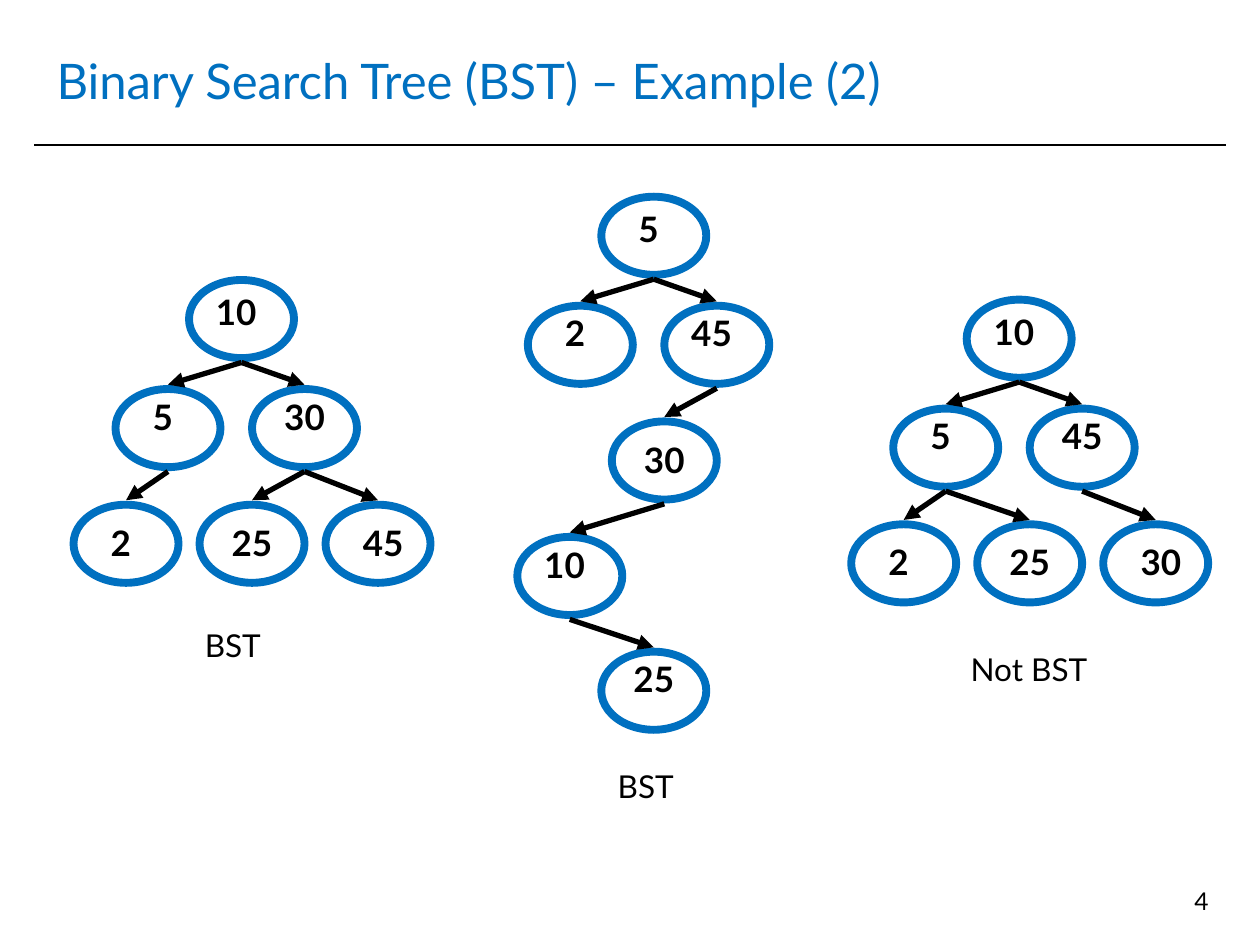
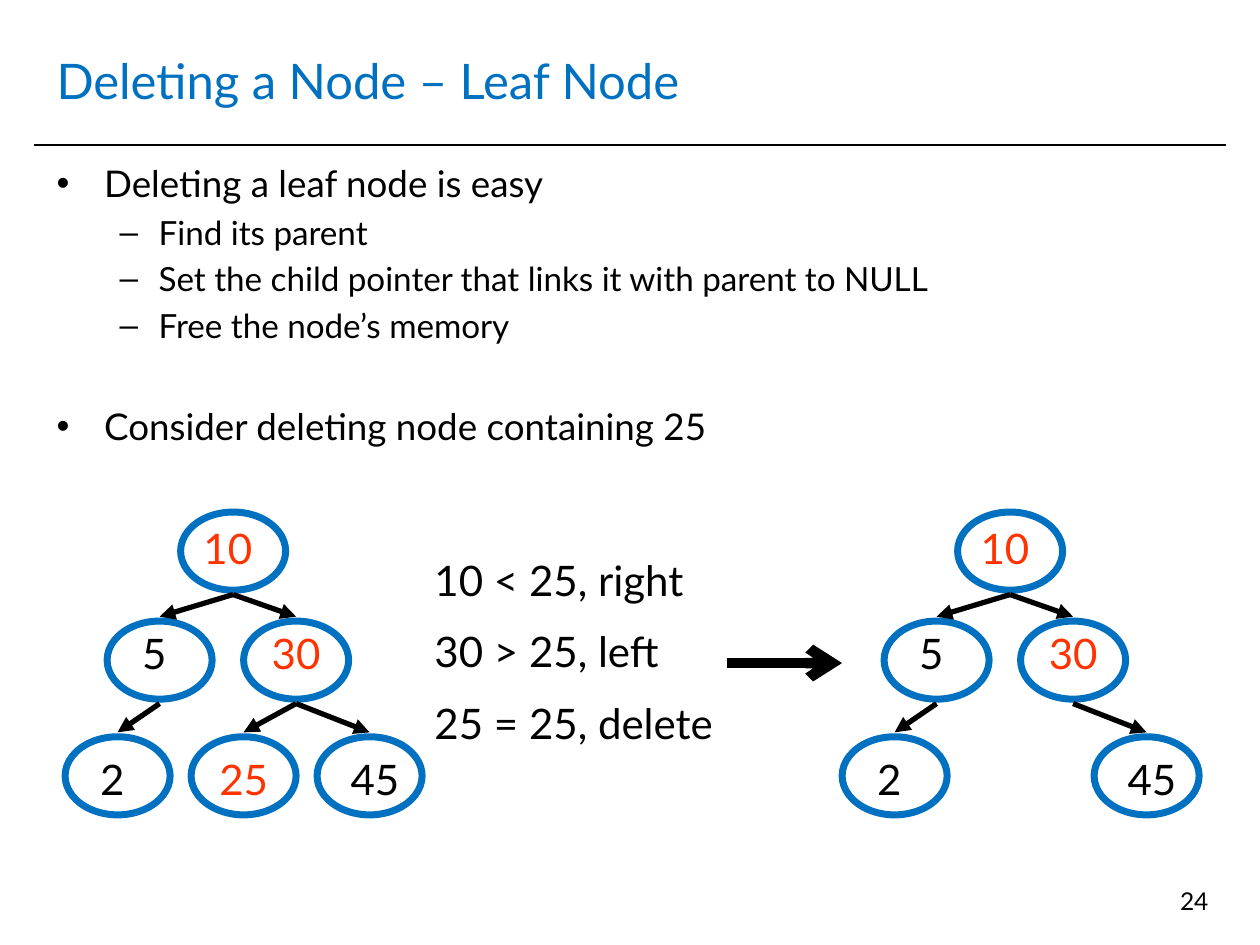
from lxml import etree
from pptx import Presentation
from pptx.dml.color import RGBColor
from pptx.enum.shapes import MSO_CONNECTOR, MSO_SHAPE
from pptx.enum.text import MSO_ANCHOR, PP_ALIGN
from pptx.oxml.ns import qn
from pptx.util import Pt

STRAIGHT = MSO_CONNECTOR.STRAIGHT
OVAL = MSO_SHAPE.OVAL
TOP, MIDDLE = MSO_ANCHOR.TOP, MSO_ANCHOR.MIDDLE
LEFT, CENTER, RIGHT = PP_ALIGN.LEFT, PP_ALIGN.CENTER, PP_ALIGN.RIGHT

FONT = "Lato"
COLORS = {"blue": "0070C0", "black": "000000", "red": "FF3300"}
NODE_WIDTH, NODE_HEIGHT = 60, 44.64
LABEL_WIDTH, LABEL_HEIGHT = 48, 36
ARROW_GAP = 2.5

# Each slot: node left, node top, label shift right, label shift down
BALANCED_SLOTS = {
    "root": (0, 0, -3, 2.5),
    "left": (-42, 62.3, -3, 0),
    "right": (36, 62.3, 0, 0),
    "leaf 1": (-66, 128.4, -3, 6),
    "leaf 2": (6, 128.4, 0, 6),
    "leaf 3": (78, 128.4, 3, 6),
}
CHAIN_SLOTS = {
    "root": (0, 0, -3, 2.5),
    "left": (-42, 62.3, -3, 0),
    "right": (36, 62.3, -3, 0),
    "third": (6, 128.4, 0, 6),
    "fourth": (-48, 194.4, -3, 0),
    "fifth": (0, 260, 0, 0),
}
TOP_EDGES = [("root", "left"), ("root", "right")]
SORTED_EDGES = TOP_EDGES + [("left", "leaf 1"), ("right", "leaf 2"), ("right", "leaf 3")]
UNSORTED_EDGES = TOP_EDGES + [("left", "leaf 1"), ("left", "leaf 2"), ("right", "leaf 3")]
PRUNED_EDGES = TOP_EDGES + [("left", "leaf 1"), ("right", "leaf 3")]
CHAIN_EDGES = TOP_EDGES + [("right", "third"), ("third", "fourth"), ("fourth", "fifth")]


def rgb(name):
    return RGBColor.from_string(COLORS[name])


def format_paragraph(paragraph, text, size=18, color="black", bold=False, align=LEFT, before=0):
    paragraph.alignment = align
    paragraph.space_before = Pt(before)
    run = paragraph.add_run()
    run.text = text
    run.font.name = FONT
    run.font.size = Pt(size)
    run.font.bold = bold
    run.font.color.rgb = rgb(color)


def add_text_frame(shapes, left, top, width, height, anchor=TOP):
    text_frame = shapes.add_textbox(Pt(left), Pt(top), Pt(width), Pt(height)).text_frame
    text_frame.word_wrap = True
    text_frame.vertical_anchor = anchor
    return text_frame


def add_text(shapes, text, left, top, width, height, anchor=TOP, **text_format):
    text_frame = add_text_frame(shapes, left, top, width, height, anchor)
    format_paragraph(text_frame.paragraphs[0], text, **text_format)


def add_line(shapes, start, end, width, head=None):
    connector = shapes.add_connector(STRAIGHT, *(Pt(value) for value in (*start, *end)))
    connector.line.color.rgb = rgb("black")
    connector.line.width = Pt(width)
    if head:
        tail_end = etree.SubElement(connector.line._get_or_add_ln(), qn("a:tailEnd"))
        tail_end.set("type", head)
    etree.SubElement(connector._element.spPr, qn("a:effectLst"))


def add_node(shapes, left, top, line_width):
    node = shapes.add_shape(OVAL, Pt(left), Pt(top), Pt(NODE_WIDTH), Pt(NODE_HEIGHT))
    node.shadow.inherit = False
    node.fill.background()
    node.line.color.rgb = rgb("blue")
    node.line.width = Pt(line_width)


def add_tree(slide, left, top, slots, values, edges, line_width=4.5, visited=(), **label_format):
    shapes = slide.shapes.add_group_shape().shapes
    for slot in values:
        add_node(shapes, left + slots[slot][0], top + slots[slot][1], line_width)
    center = left + NODE_WIDTH / 2
    for parent, child in edges:
        parent_x, parent_y = slots[parent][:2]
        child_x, child_y = slots[child][:2]
        add_line(shapes,
                 (center + parent_x, top + parent_y + NODE_HEIGHT + ARROW_GAP),
                 (center + child_x, top + child_y - ARROW_GAP), 3, "triangle")
    for slot, value in values.items():
        x, y, shift_x, shift_y = slots[slot]
        add_text(shapes, value, center + x + shift_x - LABEL_WIDTH / 2, top + y + shift_y,
                 LABEL_WIDTH, LABEL_HEIGHT, align=CENTER,
                 color="red" if slot in visited else "black", **label_format)


def add_bullets(slide, items, left, top, width, height):
    levels = [("•", 27.2, 27.2, 21), ("–", 58.4, 22.4, 19)]
    text_frame = add_text_frame(slide.shapes, left, top, width, height)
    for index, (level, text, before) in enumerate(items):
        paragraph = text_frame.paragraphs[0] if index == 0 else text_frame.add_paragraph()
        character, margin, hanging, size = levels[level]
        format_paragraph(paragraph, text, size=size, before=before)
        paragraph.level = level
        properties = paragraph._p.get_or_add_pPr()
        properties.set("marL", str(Pt(margin)))
        properties.set("indent", str(-Pt(hanging)))
        etree.SubElement(properties, qn("a:buFont")).set("typeface", "Arial")
        etree.SubElement(properties, qn("a:buChar")).set("char", character)


def add_base_slide(presentation, title, number):
    slide = presentation.slides.add_slide(presentation.slide_layouts[6])
    add_line(slide.shapes, (19.5, 82.8), (700.5, 82.8), 1)
    add_text(slide.shapes, title, 25.2, 15.1, 669, 61.2, anchor=MIDDLE, size=28, color="blue")
    add_text(slide.shapes, number, 530, 502.5, 167.7, 37.5, size=14, align=RIGHT)
    return slide


def build_example_slide(presentation):
    slide = add_base_slide(presentation, "Binary Search Tree (BST) – Example (2)", "4")
    trees = [
        (108, 160, BALANCED_SLOTS, ("10", "5", "30", "2", "25", "45"), SORTED_EDGES),
        (552.4, 171.2, BALANCED_SLOTS, ("10", "5", "45", "2", "25", "30"), UNSORTED_EDGES),
        (343.6, 112.4, CHAIN_SLOTS, ("5", "2", "45", "30", "10", "25"), CHAIN_EDGES),
    ]
    for left, top, slots, values, edges in trees:
        add_tree(slide, left, top, slots, dict(zip(slots, values)), edges, size=20, bold=True)
    for text, left, top in [("Not BST", 529, 368), ("BST", 310, 435), ("BST", 74, 354)]:
        add_text(slide.shapes, text, left, top, 118, 29, align=CENTER)


def build_deletion_slide(presentation):
    slide = add_base_slide(presentation, "Deleting a Node – Leaf Node", "24")
    add_bullets(slide, [
        (0, "Deleting a leaf node is easy", 0),
        (1, "Find its parent", 3.8),
        (1, "Set the child pointer that links it with parent to NULL", 3.8),
        (1, "Free the node’s memory", 3.8),
        (0, "Consider deleting node containing 25", 33.4),
    ], 25.2, 88.6, 669, 124.6)

    values = dict(zip(BALANCED_SLOTS, ("10", "5", "30", "2", "25", "45")))
    pruned = {slot: value for slot, value in values.items() if value != "25"}
    for left, tree_values, edges in [(103.2, values, SORTED_EDGES), (547.2, pruned, PRUNED_EDGES)]:
        add_tree(slide, left, 292.6, BALANCED_SLOTS, tree_values, edges, line_width=4,
                 visited=("root", "right", "leaf 2"), size=24)

    steps = add_text_frame(slide.shapes, 241.2, 313.2, 180, 124)
    for index, text in enumerate(["10 < 25, right", "30 > 25, left", "25 = 25, delete"]):
        paragraph = steps.add_paragraph() if index else steps.paragraphs[0]
        format_paragraph(paragraph, text, size=24, before=12 if index else 0)
    add_line(slide.shapes, (415.2, 378.9), (481.2, 378.9), 6, "arrow")


def main():
    presentation = Presentation()
    presentation.slide_width, presentation.slide_height = Pt(720), Pt(540)
    build_example_slide(presentation)
    build_deletion_slide(presentation)
    presentation.save("out.pptx")


if __name__ == "__main__":
    main()
